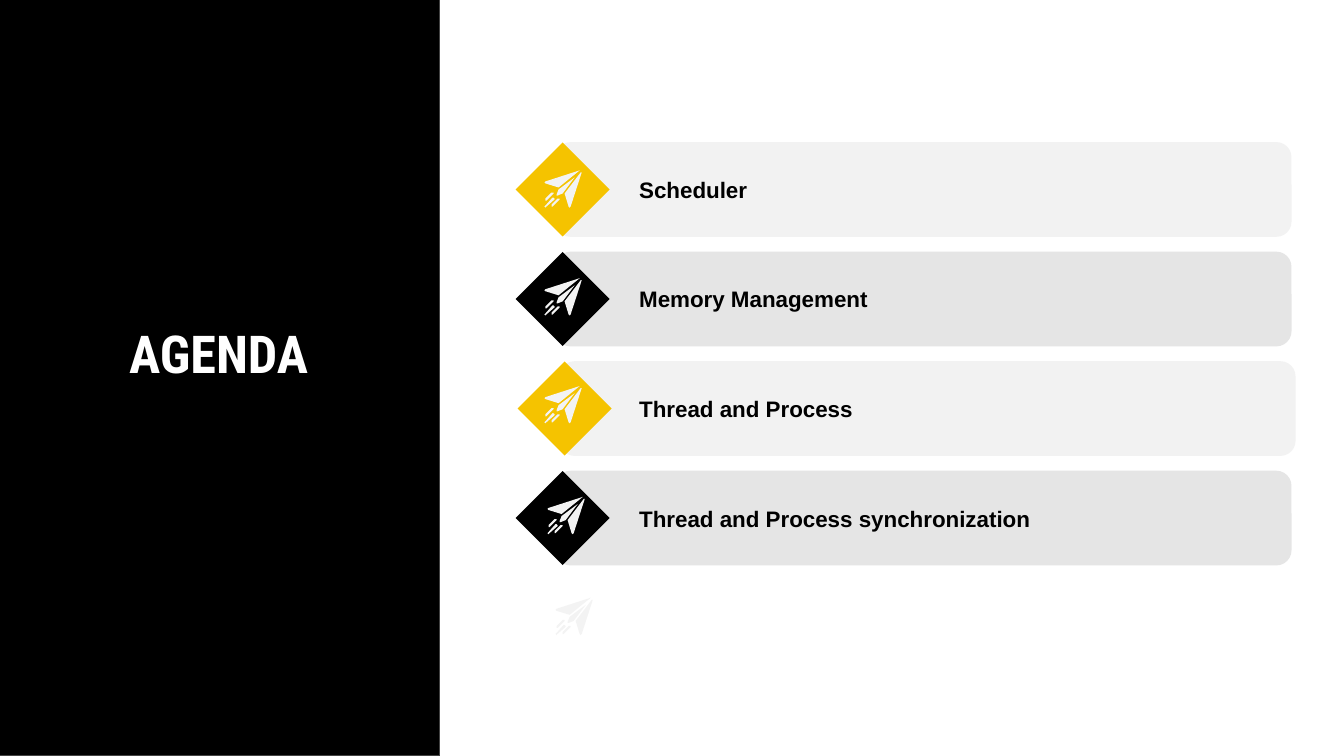
from pptx import Presentation
from pptx.dml.color import RGBColor
from pptx.enum.shapes import MSO_SHAPE as Shape
from pptx.enum.text import MSO_ANCHOR as Anchor, PP_ALIGN as Align
from pptx.util import Pt

COLORS = {
    "black": "000000", "white": "FFFFFF", "yellow": "F5C300", "edge": "434343",
    "light": "F2F2F2", "gray": "E5E5E5", "plane": "F3F3F3",
}
SLIDE_SIZE = (1333, 750)
TITLE = "AGENDA"
# label, bar colour, diamond colour, bar left, diamond left
TOPICS = [
    ("Scheduler", "light", "yellow", 551, 525),
    ("Memory Management", "gray", "black", 551, 525),
    ("Thread and Process", "light", "yellow", 555, 527),
    ("Thread and Process synchronization", "gray", "black", 551, 525),
]
PLANE_ORIGINS = [(540, 169), (540, 276), (540, 383), (543, 493), (551, 593)]

SHORT_STREAK = [(8, 22), (7, 22), (1, 28), (1, 30), (2, 30), (9, 23), (9, 22)]
PLANE_PARTS = [
    [(35, 0), (1, 11), (0, 12), (1, 13), (14, 17)],
    [(30, 7), (14, 19), (12, 24), (12, 25), (13, 25), (18, 23)],
    [(37, 2), (36, 2), (20, 23), (24, 36), (25, 37), (26, 36)],
    SHORT_STREAK,
    [(x + 6, y + 6) for x, y in SHORT_STREAK],
    [(8, 27), (1, 35), (0, 36), (1, 37), (2, 36), (10, 29), (10, 28), (9, 27)],
]

PX = 9144  # 100 px to the inch
BAR_WIDTH, BAR_HEIGHT = 730, 94
FIRST_TOP, LAST_TOP = 141, 467
DIAMOND_SIDE = 66
LABEL_LEFT, LABEL_WIDTH, LABEL_HEIGHT = 621, 630, 57


def px(*lengths):
    return [round(length * PX) for length in lengths]


def paint(shape, color, edge=None):
    shape.shadow.inherit = False
    shape.fill.solid()
    shape.fill.fore_color.rgb = RGBColor.from_string(COLORS[color])
    if edge:
        shape.line.color.rgb = RGBColor.from_string(COLORS[edge])
        shape.line.width = Pt(0.75)
    else:
        shape.line.fill.background()


def add_block(page, kind, box, color, edge=None):
    block = page.shapes.add_shape(kind, *px(*box))
    paint(block, color, edge)
    return block


def write(shape, text, *, size, font, color, align=Align.LEFT, spacing=1.0, insets=(13, 7)):
    frame = shape.text_frame
    frame.word_wrap = True
    frame.vertical_anchor = Anchor.MIDDLE
    frame.margin_left = frame.margin_right = insets[0] * PX
    frame.margin_top = frame.margin_bottom = insets[1] * PX
    para = frame.paragraphs[0]
    para.alignment = align
    para.line_spacing = spacing
    span = para.add_run()
    span.text = text
    span.font.size = Pt(size)
    span.font.name = font
    span.font.bold = True
    span.font.color.rgb = RGBColor.from_string(COLORS[color])


def add_plane(page, origin):
    group = page.shapes.add_group_shape()
    for start, *rest in PLANE_PARTS:
        builder = group.shapes.build_freeform(*start, scale=PX)
        builder.add_line_segments(rest, close=True)
        paint(builder.convert_to_shape(*px(*origin)), "plane")


def add_title(page):
    panel = add_block(page, Shape.RECTANGLE, (0, 0, 436, 750), "black", "edge")
    title = page.shapes.title
    title.left, title.top, title.width, title.height = px(52, 112, 330, 484)
    write(title, TITLE, size=37.3, font="Roboto Condensed", color="white",
          align=Align.CENTER, spacing=0.9, insets=(10, 5))
    panel._element.addnext(title._element)  # the title goes in front of the panel


def add_topics(page):
    pitch = (LAST_TOP - FIRST_TOP) / (len(TOPICS) - 1)
    for row, (text, bar_color, diamond_color, bar_left, diamond_left) in enumerate(TOPICS):
        top = FIRST_TOP + row * pitch
        bar = add_block(page, Shape.ROUNDED_RECTANGLE,
                        (bar_left, top, BAR_WIDTH, BAR_HEIGHT), bar_color)
        bar.adjustments[0] = 0.16
        diamond_top = top + (BAR_HEIGHT - DIAMOND_SIDE) / 2
        diamond = add_block(page, Shape.RECTANGLE,
                            (diamond_left, diamond_top, DIAMOND_SIDE, DIAMOND_SIDE),
                            diamond_color)
        diamond.rotation = 45
        label_top = top + (BAR_HEIGHT - LABEL_HEIGHT) / 2
        label = page.shapes.add_textbox(*px(LABEL_LEFT, label_top, LABEL_WIDTH, LABEL_HEIGHT))
        write(label, text, size=16, font="Arial", color="black")


def main():
    deck = Presentation()
    deck.slide_width, deck.slide_height = px(*SLIDE_SIZE)
    page = deck.slides.add_slide(deck.slide_layouts[5])
    add_title(page)
    add_topics(page)
    for origin in PLANE_ORIGINS:
        add_plane(page, origin)
    deck.save("out.pptx")


if __name__ == "__main__":
    main()
